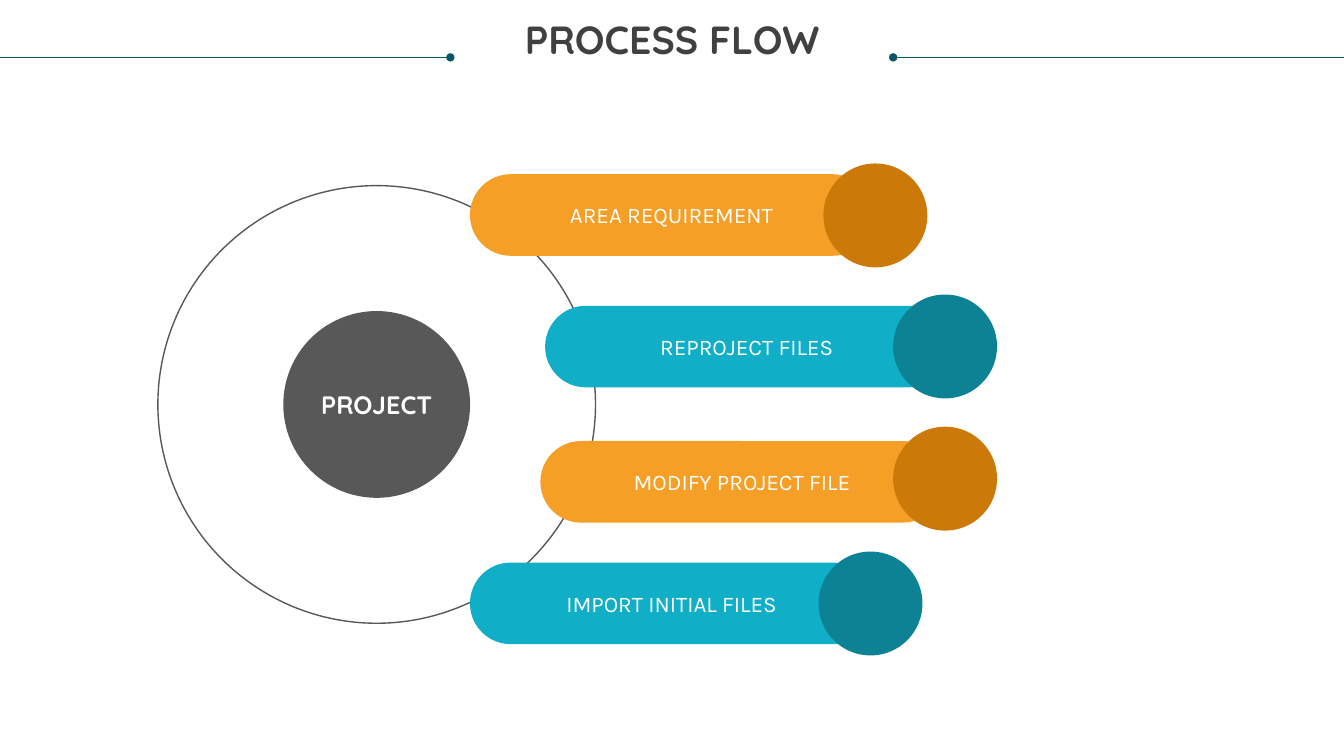
from lxml.etree import SubElement
from pptx import Presentation
from pptx.dml.color import RGBColor
from pptx.enum.shapes import MSO_CONNECTOR as Connector, MSO_SHAPE as Preset
from pptx.enum.text import MSO_ANCHOR as Anchor, MSO_AUTO_SIZE as AutoSize, PP_ALIGN as Align
from pptx.oxml.ns import qn
from pptx.util import Pt

COLOURS = {
    "title": "404040",
    "rule": "085764",
    "grey": "585858",
    "white": "FFFFFF",
    "orange": "F59F26",
    "dark orange": "CB7A09",
    "teal": "11AEC7",
    "dark teal": "0D8295",
}
PAGE_WIDTH, PAGE_HEIGHT = 960, 540
RULE_TOP = 41
BAR_WIDTH, BAR_HEIGHT = 288, 58.3
KNOB_SIZE = 74.2

# Label, colour, bar left and top, knob left and top
STEPS = [
    ("AREA REQUIREMENT", "orange", 335.7, 124.4, 588.2, 116.8),
    ("REPROJECT FILES", "teal", 389.4, 218.4, 638, 210.4),
    ("MODIFY PROJECT FILE", "orange", 386, 315, 638, 304.8),
    ("IMPORT INITIAL FILES", "teal", 335.7, 401.8, 584.7, 394),
]


def colour(name):
    """Return the named colour."""
    return RGBColor.from_string(COLOURS[name])


def write(shape, text, font="Karla", size=16, bold=False, ink="white"):
    """Write one centred line into a shape and return its paragraph."""
    para = shape.text_frame.paragraphs[0]
    para.alignment = Align.CENTER
    span = para.add_run()
    span.text = text
    span.font.name = font
    span.font.size = Pt(size)
    span.font.bold = bold
    span.font.color.rgb = colour(ink)
    return para


def add_form(page, preset, left, top, width, height, fill=None, line=None):
    """Add a flat preset shape, either filled or outlined."""
    shape = page.shapes.add_shape(preset, Pt(left), Pt(top), Pt(width), Pt(height))
    shape.shadow.inherit = False
    if fill:
        shape.fill.solid()
        shape.fill.fore_color.rgb = colour(fill)
    else:
        shape.fill.background()
    if line:
        shape.line.color.rgb = colour(line)
        shape.line.width = Pt(1)
    else:
        shape.line.fill.background()
    shape.text_frame.vertical_anchor = Anchor.MIDDLE
    return shape


def add_circle(page, left, top, size, **paint):
    """Add a circle of the given diameter."""
    return add_form(page, Preset.OVAL, left, top, size, size, **paint)


def add_rule(page, start, stop, dot_end):
    """Add a thin horizontal rule with a dot at one end."""
    rule = page.shapes.add_connector(
        Connector.STRAIGHT, Pt(start), Pt(RULE_TOP), Pt(stop), Pt(RULE_TOP))
    rule.line.color.rgb = colour("rule")
    rule.line.width = Pt(0.5)
    SubElement(rule.line._get_or_add_ln(), qn(dot_end), type="oval")
    SubElement(rule._element.spPr, qn("a:effectLst"))


def add_title(page, text):
    """Add the centred slide title."""
    box = page.shapes.add_textbox(Pt(18), Pt(15), Pt(PAGE_WIDTH - 36), Pt(30.2))
    frame = box.text_frame
    frame.word_wrap = True
    frame.auto_size = AutoSize.SHAPE_TO_FIT_TEXT
    frame.margin_left = frame.margin_right = frame.margin_top = frame.margin_bottom = 0
    para = write(box, text, font="Quicksand", size=28, bold=True, ink="title")
    para.line_spacing = 0.9


def add_step(page, label, tone, bar_left, bar_top, knob_left, knob_top):
    """Add a labelled pill with a darker knob over its right end."""
    bar = add_form(page, Preset.ROUNDED_RECTANGLE, bar_left, bar_top,
                   BAR_WIDTH, BAR_HEIGHT, fill=tone)
    bar.adjustments[0] = 0.5
    write(bar, label)
    add_circle(page, knob_left, knob_top, KNOB_SIZE, fill="dark " + tone)


def main():
    """Build the process flow slide."""
    deck = Presentation()
    deck.slide_width, deck.slide_height = Pt(PAGE_WIDTH), Pt(PAGE_HEIGHT)
    page = deck.slides.add_slide(deck.slide_layouts[6])

    add_circle(page, 112.8, 132.6, 312.6, line="grey")
    add_rule(page, 638, PAGE_WIDTH, "a:headEnd")
    add_title(page, "PROCESS FLOW")
    add_rule(page, 0, 321.7, "a:tailEnd")
    hub = add_circle(page, 202.4, 222.2, 133.4, fill="grey")
    write(hub, "PROJECT", font="Quicksand", size=18, bold=True)
    for step in STEPS:
        add_step(page, *step)

    deck.save("out.pptx")


main()
